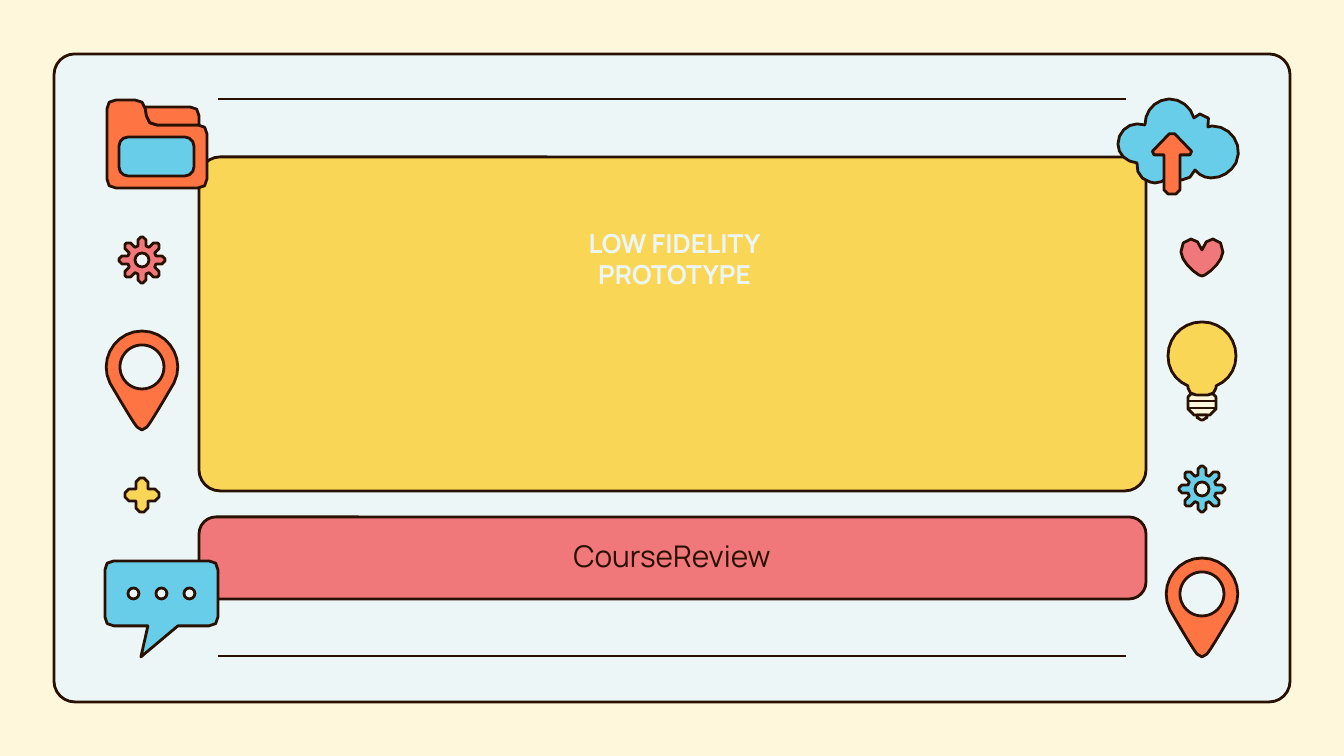
"""Build the title slide of a prototype deck, framed by outlined web icons."""
import math
from dataclasses import dataclass
from typing import Any

import pptx
import pptx.dml.color
import pptx.enum.shapes
import pptx.enum.text
import pptx.oxml.ns
import pptx.util
from lxml import etree

RGB = pptx.dml.color.RGBColor
CREAM = RGB(0xFF, 0xF7, 0xDC)
ICE = RGB(0xED, 0xF6, 0xF7)
INK = RGB(0x28, 0x11, 0x01)
YELLOW = RGB(0xF9, 0xD6, 0x56)
PINK = RGB(0xF0, 0x78, 0x7A)
ORANGE = RGB(0xFE, 0x74, 0x43)
BLUE = RGB(0x68, 0xCD, 0xE9)

SLIDE_W, SLIDE_H = 1344, 756
EMU_PER_PX = 9144000 / SLIDE_W
CURVE_STEP = 7
Points = list[tuple[float, ...]]


@dataclass(frozen=True)
class Panel:
    left: int
    top: int
    width: int
    height: int
    radius: int
    color: RGB


@dataclass(frozen=True)
class Caption:
    lines: str
    left: int
    top: int
    width: int
    height: int
    inset: int
    anchor: Any
    font: dict[str, Any]
    color: RGB
    spacing: Any = None


CARD = Panel(54, 54, 1236, 648, 21, ICE)
HERO = Panel(199, 157, 947, 334, 21, YELLOW)
BANNER = Panel(199, 517, 947, 82, 17, PINK)
FOLDER_LABEL = Panel(119, 137, 75, 39, 9, BLUE)
ANCHOR = pptx.enum.text.MSO_ANCHOR
CAPTIONS = [
    Caption("CourseReview", 223, 521, 898, 69, 13, ANCHOR.MIDDLE,
            {"name": "Manrope", "size": pptx.util.Pt(16)}, INK),
    Caption("LOW FIDELITY\vPROTOTYPE", 337, 219, 675, 196, 9, ANCHOR.TOP,
            {"name": "Manrope", "size": pptx.util.Pt(14), "bold": True}, ICE,
            pptx.util.Pt(16.6)),
]

PIN_HALF = [(0, 0), (-26, 0, -44, 28, -32, 52), (-29, 57, -10, 90, -5, 96),
            (-4, 98, -2, 99, 0, 99)]
HEART_HALF = [(0, 11), (-2, 4, -6, 0, -11, 0), (-17, 0, -22, 6, -21, 13),
              (-20, 22, -11, 31, -3, 36), (-2, 37, -1, 37, 0, 37)]
BULB_HALF = [(0, 0), (-19, 0, -34, 15, -34, 34), (-34, 48, -26, 59, -14, 64),
             (-14, 66), (-14, 70, -10, 73, -6, 73)]
CLOUD = [(1169, 99), (1155, 100, 1145, 111, 1145, 125),
         (1142, 125, 1140, 124, 1137, 124), (1127, 124, 1118, 133, 1118, 144),
         (1118, 154, 1126, 162, 1137, 163), (1136, 172, 1141, 180, 1150, 182),
         (1152, 183, 1153, 183, 1155, 183), (1162, 183, 1168, 179, 1170, 172),
         (1173, 177, 1177, 180, 1182, 180), (1188, 180, 1193, 176, 1195, 170),
         (1199, 175, 1205, 178, 1211, 178), (1222, 178, 1231, 172, 1236, 163),
         (1244, 145, 1231, 126, 1212, 126), (1208, 127),
         (1213, 121, 1207, 114, 1200, 114), (1198, 114, 1196, 116, 1194, 118),
         (1191, 107, 1181, 99, 1169, 99)]
ARROW_HALF = [(0, -1, 4), (-23, 23, 5), (-8, 23, 0), (-8, 62, 4)]
PLUS_HALF = [(-6, 0, 4), (-6, 11, 0), (-17, 11, 4), (-17, 23, 4), (-6, 23, 0), (-6, 34, 4)]
SOCKET_HALF = [(-14, 72, 3), (-14, 93, 6)]
SOCKET_TIP_HALF = [(-5, 93, 0), (-5, 98, 4)]
FOLDER = [(107, 100, 9), (144, 100, 9), (148, 125, 9), (207, 125, 9), (207, 188, 9), (107, 188, 9)]
FOLDER_TAB = [(145, 107, 0), (199, 107, 9), (199, 125, 0), (148, 125, 9)]
BUBBLE = [(105, 561, 9), (218, 561, 9), (218, 626, 9), (178, 626, 0),
          (141, 657, 0), (148, 626, 0), (105, 626, 9)]
TOOTH = [(-4, -14, 0), (-4, -23, 3), (4, -23, 3), (4, -14, 0)]


def emu(px: float) -> int:
    return round(px * EMU_PER_PX)


def mirrored(half: Points) -> Points:
    return half + [(-x, *rest) for x, *rest in reversed(half) if x]


def curved(segments: Points) -> Points:
    """Flatten straight (x, y) and cubic (x1, y1, x2, y2, x, y) segments."""
    points = [segments[0]]
    for segment in segments[1:]:
        if len(segment) == 2:
            points.append(segment)
            continue
        knots = [points[-1], segment[:2], segment[2:4], segment[4:]]
        steps = max(1, round(math.dist(knots[0], knots[3]) / CURVE_STEP))
        for step in range(1, steps + 1):
            t = step / steps
            weights = [math.comb(3, k) * t**k * (1 - t) ** (3 - k) for k in range(4)]
            points.append(tuple(sum(w * knot[axis] for w, knot in zip(weights, knots))
                                for axis in (0, 1)))
    return points


def rounded(corners: Points) -> Points:
    """Flatten a polygon of (x, y, radius) corners."""
    segments = []
    for i, (x, y, radius) in enumerate(corners):
        if not radius:
            segments.append((x, y))
            continue
        ends = []
        for nx, ny, _ in (corners[i - 1], corners[(i + 1) % len(corners)]):
            share = min(radius / math.dist((x, y), (nx, ny)), 0.5)
            ends.append((x + (nx - x) * share, y + (ny - y) * share))
        (ax, ay), (bx, by) = ends
        segments += [(ax, ay), ((ax + 2 * x) / 3, (ay + 2 * y) / 3,
                                (bx + 2 * x) / 3, (by + 2 * y) / 3, bx, by)]
    return curved(segments)


def gear_corners() -> Points:
    turns = [k * math.pi / 4 for k in range(8)]
    return [(x * math.cos(a) - y * math.sin(a), x * math.sin(a) + y * math.cos(a), r)
            for a in turns for x, y, r in TOOTH]


def paint(shape: Any, color: RGB) -> None:
    shape.shadow.inherit = False
    shape.fill.solid()
    shape.fill.fore_color.rgb = color
    shape.line.color.rgb = INK
    shape.line.width = pptx.util.Pt(1.5)


def draw_outline(shapes: Any, color: RGB, outline: Points, x: int = 0, y: int = 0) -> None:
    start, *rest = [(emu(px + x), emu(py + y)) for px, py in outline]
    builder = shapes.build_freeform(*start, scale=1.0)
    builder.add_line_segments(rest, close=True)
    paint(builder.convert_to_shape(), color)


def draw_panel(shapes: Any, panel: Panel) -> None:
    box = map(emu, (panel.left, panel.top, panel.width, panel.height))
    shape = shapes.add_shape(pptx.enum.shapes.MSO_SHAPE.ROUNDED_RECTANGLE, *box)
    shape.adjustments[0] = round(panel.radius / min(panel.width, panel.height), 3)
    paint(shape, panel.color)


def draw_disc(shapes: Any, left: int, top: int, size: int) -> None:
    box = map(emu, (left, top, size, size))
    paint(shapes.add_shape(pptx.enum.shapes.MSO_SHAPE.OVAL, *box), ICE)


def draw_rule(shapes: Any, left: int, right: int, y: int) -> None:
    rule = shapes.add_connector(pptx.enum.shapes.MSO_CONNECTOR.STRAIGHT,
                                emu(left), emu(y), emu(right), emu(y))
    rule.line.color.rgb = INK
    rule.line.width = pptx.util.Pt(1.5)
    etree.SubElement(rule._element.spPr, pptx.oxml.ns.qn("a:effectLst"))


def draw_pin(shapes: Any, x: int, y: int) -> None:
    draw_outline(shapes, ORANGE, mirrored(curved(PIN_HALF)), x, y)
    draw_disc(shapes, x - 22, y + 14, 44)


def draw_gear(shapes: Any, color: RGB, x: int, y: int) -> None:
    draw_outline(shapes, color, rounded(gear_corners()), x, y)
    draw_disc(shapes, x - 7, y - 7, 14)


def draw_bulb(shapes: Any, x: int, y: int) -> None:
    for part in (SOCKET_HALF, SOCKET_TIP_HALF):
        draw_outline(shapes, CREAM, rounded(mirrored(part)), x, y)
    for thread in (79, 86):
        draw_rule(shapes, x - 14, x + 14, y + thread)
    draw_outline(shapes, YELLOW, mirrored(curved(BULB_HALF)), x, y)


def draw_caption(shapes: Any, caption: Caption) -> None:
    box = map(emu, (caption.left, caption.top, caption.width, caption.height))
    frame = shapes.add_textbox(*box).text_frame
    inset = emu(caption.inset)
    layout = {"word_wrap": True, "vertical_anchor": caption.anchor, "margin_left": inset,
              "margin_right": inset, "margin_top": inset, "margin_bottom": inset}
    line = frame.paragraphs[0]
    line.text = caption.lines
    alignment = {"alignment": pptx.enum.text.PP_ALIGN.CENTER, "line_spacing": caption.spacing}
    targets = [(frame, layout), (line, alignment)]
    targets += [(run.font, caption.font) for run in line.runs]
    for target, values in targets:
        for name, value in values.items():
            setattr(target, name, value)
    for run in line.runs:
        run.font.color.rgb = caption.color


def main() -> None:
    deck = pptx.Presentation()
    deck.slide_width, deck.slide_height = emu(SLIDE_W), emu(SLIDE_H)
    slide = deck.slides.add_slide(deck.slide_layouts[6])
    slide.background.fill.solid()
    slide.background.fill.fore_color.rgb = CREAM
    shapes = slide.shapes

    draw_panel(shapes, CARD)
    for y in (656, 99):
        draw_rule(shapes, 218, 1126, y)
    for panel in (HERO, BANNER):
        draw_panel(shapes, panel)
    for x, y in ((142, 331), (1202, 558)):
        draw_pin(shapes, x, y)
    draw_outline(shapes, BLUE, rounded(BUBBLE))
    for dot in range(3):
        draw_disc(shapes, 128 + 28 * dot, 588, 11)
    draw_outline(shapes, BLUE, curved(CLOUD))
    draw_outline(shapes, ORANGE, rounded(mirrored(ARROW_HALF)), 1172, 132)
    draw_outline(shapes, YELLOW, rounded(mirrored(PLUS_HALF)), 142, 478)
    for part in (FOLDER, FOLDER_TAB):
        draw_outline(shapes, ORANGE, rounded(part))
    draw_panel(shapes, FOLDER_LABEL)
    draw_gear(shapes, PINK, 142, 260)
    draw_gear(shapes, BLUE, 1202, 489)
    draw_outline(shapes, PINK, mirrored(curved(HEART_HALF)), 1202, 239)
    draw_bulb(shapes, 1202, 322)
    for caption in CAPTIONS:
        draw_caption(shapes, caption)
    deck.save("out.pptx")


if __name__ == "__main__":
    main()
